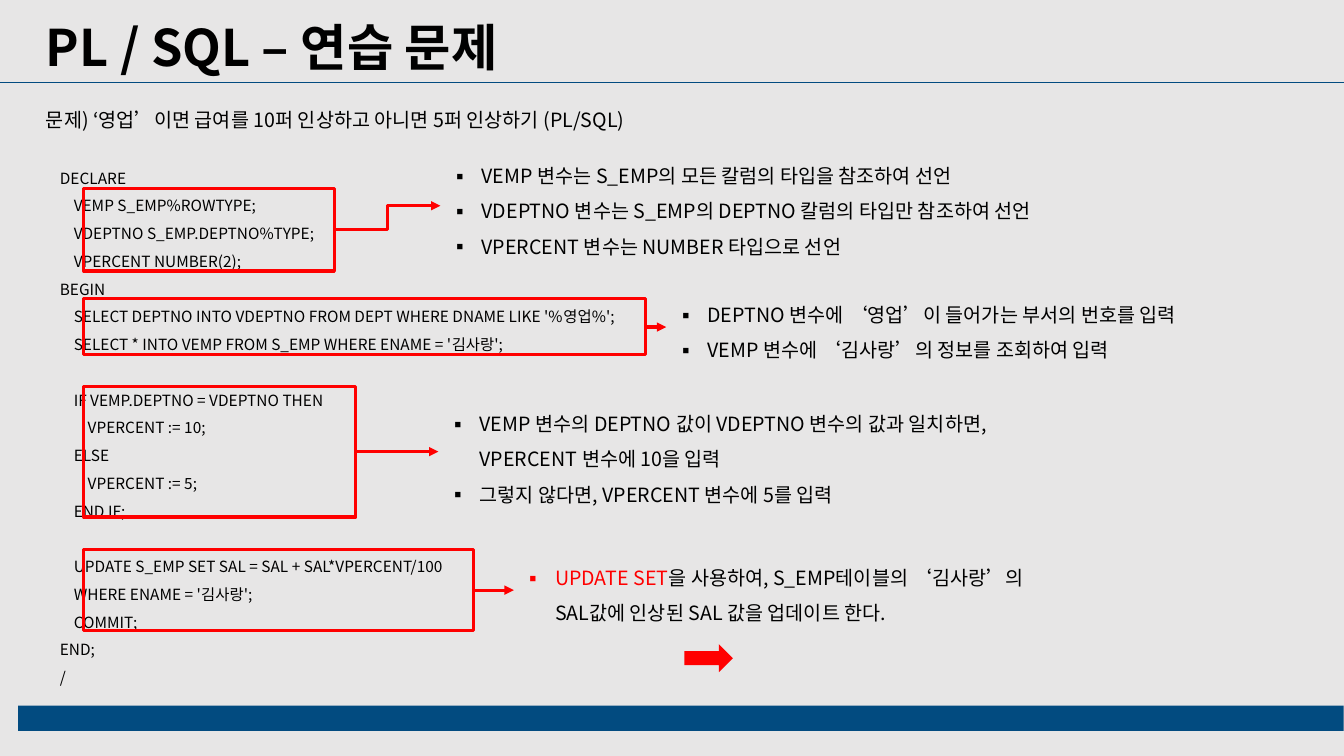
from lxml import etree
from pptx import Presentation
from pptx.dml.color import RGBColor
from pptx.enum.shapes import MSO_CONNECTOR, MSO_SHAPE
from pptx.enum.text import MSO_AUTO_SIZE
from pptx.oxml.ns import qn
from pptx.util import Cm, Pt

COLORS = {"background": "E7E6E6", "navy": "024B80", "red": "FF0000", "black": "000000"}
FONT = "Noto Sans CJK KR"

TITLE = "PL / SQL – 연습 문제"
PROBLEM = "문제) ‘영업’이면 급여를 10퍼 인상하고 아니면 5퍼 인상하기 (PL/SQL)"

# Blocks are separated by one line of space; each line is (indent level, code)
CODE_BLOCKS = [
    [
        (1, "DECLARE"),
        (2, "VEMP S_EMP%ROWTYPE;"),
        (2, "VDEPTNO S_EMP.DEPTNO%TYPE;"),
        (2, "VPERCENT NUMBER(2);"),
        (1, "BEGIN"),
        (2, "SELECT DEPTNO INTO VDEPTNO FROM DEPT WHERE DNAME LIKE '%영업%';"),
        (2, "SELECT * INTO VEMP FROM S_EMP WHERE ENAME = '김사랑';"),
    ],
    [
        (2, "IF VEMP.DEPTNO = VDEPTNO THEN"),
        (3, "VPERCENT := 10;"),
        (2, "ELSE"),
        (3, "VPERCENT := 5;"),
        (2, "END IF;"),
    ],
    [
        (2, "UPDATE S_EMP SET SAL = SAL + SAL*VPERCENT/100"),
        (2, "WHERE ENAME = '김사랑';"),
        (2, "COMMIT;"),
        (1, "END;"),
        (1, "/"),
    ],
]

# Boxes are (left, top, width, height) in cm; each note is a list of (text, color)
CALLOUTS = [
    {
        "frame": (2.11, 4.75, 6.32, 2.08),
        "box": (11.1, 3.71, 16.43, 2.95),
        "notes": [
            [("VEMP 변수는 S_EMP의 모든 칼럼의 타입을 참조하여 선언", "black")],
            [("VDEPTNO 변수는 S_EMP의 DEPTNO 칼럼의 타입만 참조하여 선언", "black")],
            [("VPERCENT 변수는 NUMBER 타입으로 선언", "black")],
        ],
    },
    {
        "frame": (2.11, 7.52, 14.15, 1.42),
        "box": (16.79, 7.21, 14.3, 2.06),
        "notes": [
            [("DEPTNO 변수에 ‘영업’이 들어가는 부서의 번호를 입력", "black")],
            [("VEMP 변수에 ‘김사랑’의 정보를 조회하여 입력", "black")],
        ],
    },
    {
        "frame": (2.11, 9.73, 6.86, 3.3),
        "box": (11.05, 9.96, 15.49, 2.84),
        "notes": [
            [("VEMP 변수의 DEPTNO 값이 VDEPTNO 변수의 값과 일치하면, "
              "VPERCENT 변수에 10을 입력", "black")],
            [("그렇지 않다면, VPERCENT 변수에 5를 입력", "black")],
        ],
    },
    {
        "frame": (2.11, 13.84, 9.83, 2.06),
        "box": (12.95, 13.84, 14.05, 2.06),
        "notes": [
            [("UPDATE SET", "red"),
             ("을 사용하여, S_EMP테이블의 ‘김사랑’의 SAL값에 인상된 SAL 값을 업데이트 한다.", "black")],
        ],
    },
]

INDENT_STEP = 0.35
NOTE_INDENT = 0.79
CODE_LINE = Pt(19.8)


def rgb(name):
    return RGBColor.from_string(COLORS[name])


def add_box(page, kind, area, fill=None, outline=None):
    shape = page.shapes.add_shape(kind, *map(Cm, area))
    shape.shadow.inherit = False
    if fill:
        shape.fill.solid()
        shape.fill.fore_color.rgb = rgb(fill)
    else:
        shape.fill.background()
    if outline:
        shape.line.color.rgb = rgb(outline)
        shape.line.width = Pt(2.25)
    else:
        shape.line.fill.background()


def add_line(page, kind, start, end, color, width, arrow=False):
    line = page.shapes.add_connector(kind, *map(Cm, start + end))
    line.line.color.rgb = rgb(color)
    line.line.width = Pt(width)
    if arrow:
        etree.SubElement(line.line._get_or_add_ln(), qn("a:tailEnd"), type="triangle")
    etree.SubElement(line._element.spPr, qn("a:effectLst"))


def add_text_frame(page, area):
    frame = page.shapes.add_textbox(*map(Cm, area)).text_frame
    frame.word_wrap = True
    frame.auto_size = MSO_AUTO_SIZE.SHAPE_TO_FIT_TEXT
    return frame


def next_paragraph(frame):
    """Return the empty first paragraph, or a new one once it holds text."""
    first = frame.paragraphs[0]
    return frame.add_paragraph() if first.runs else first


def add_span(para, text, size, color="black", bold=False):
    span = para.add_run()
    span.text = text
    span.font.name = FONT
    span.font.size = Pt(size)
    span.font.bold = bold
    span.font.color.rgb = rgb(color)
    etree.SubElement(span.font._element, qn("a:ea"), typeface=FONT)


def set_indent(para, left, first=0):
    properties = para._p.get_or_add_pPr()
    properties.set("marL", str(Cm(left)))
    properties.set("indent", str(Cm(first)))
    return properties


def add_code(page):
    frame = add_text_frame(page, (0.91, 2.31, 16.15, 15.44))
    para = next_paragraph(frame)
    para.line_spacing = 1.5
    add_span(para, PROBLEM, 14)
    for block in CODE_BLOCKS:
        for number, (level, code) in enumerate(block):
            para = next_paragraph(frame)
            para.line_spacing = 1.5
            if number == 0:
                para.space_before = CODE_LINE
            set_indent(para, level * INDENT_STEP)
            add_span(para, code, 11)


def add_callout(page, frame, box, notes):
    """Frame a piece of code and point an arrow at its bulleted notes."""
    add_box(page, MSO_SHAPE.RECTANGLE, frame, outline="red")
    text = add_text_frame(page, box)
    for note in notes:
        para = next_paragraph(text)
        para.line_spacing = 1.5
        properties = set_indent(para, NOTE_INDENT, -NOTE_INDENT)
        etree.SubElement(properties, qn("a:buFont"), typeface=FONT)
        etree.SubElement(properties, qn("a:buChar"), char="▪")
        for words, color in note:
            add_span(para, words, 14, color)
    frame_middle = frame[1] + frame[3] / 2
    box_middle = box[1] + box[3] / 2
    bent = abs(frame_middle - box_middle) > 0.1
    kind = MSO_CONNECTOR.ELBOW if bent else MSO_CONNECTOR.STRAIGHT
    start = (frame[0] + frame[2], frame_middle if bent else box_middle)
    add_line(page, kind, start, (box[0], box_middle), "red", 2.25, arrow=True)


def main():
    deck = Presentation()
    deck.slide_width, deck.slide_height = Cm(33.87), Cm(19.05)
    page = deck.slides.add_slide(deck.slide_layouts[6])
    page.background.fill.solid()
    page.background.fill.fore_color.rgb = rgb("background")

    add_box(page, MSO_SHAPE.RECTANGLE, (0.46, 17.78, 33.4, 0.64), fill="navy")
    title = add_text_frame(page, (0.91, 0.28, 22.12, 1.8))
    add_span(next_paragraph(title), TITLE, 36, bold=True)
    add_line(page, MSO_CONNECTOR.STRAIGHT, (0, 2.08), (33.87, 2.08), "navy", 0.5)
    add_code(page)
    for callout in CALLOUTS:
        add_callout(page, **callout)
    add_box(page, MSO_SHAPE.RIGHT_ARROW, (17.25, 16.23, 1.22, 0.71), fill="red")
    deck.save("out.pptx")


if __name__ == "__main__":
    main()
